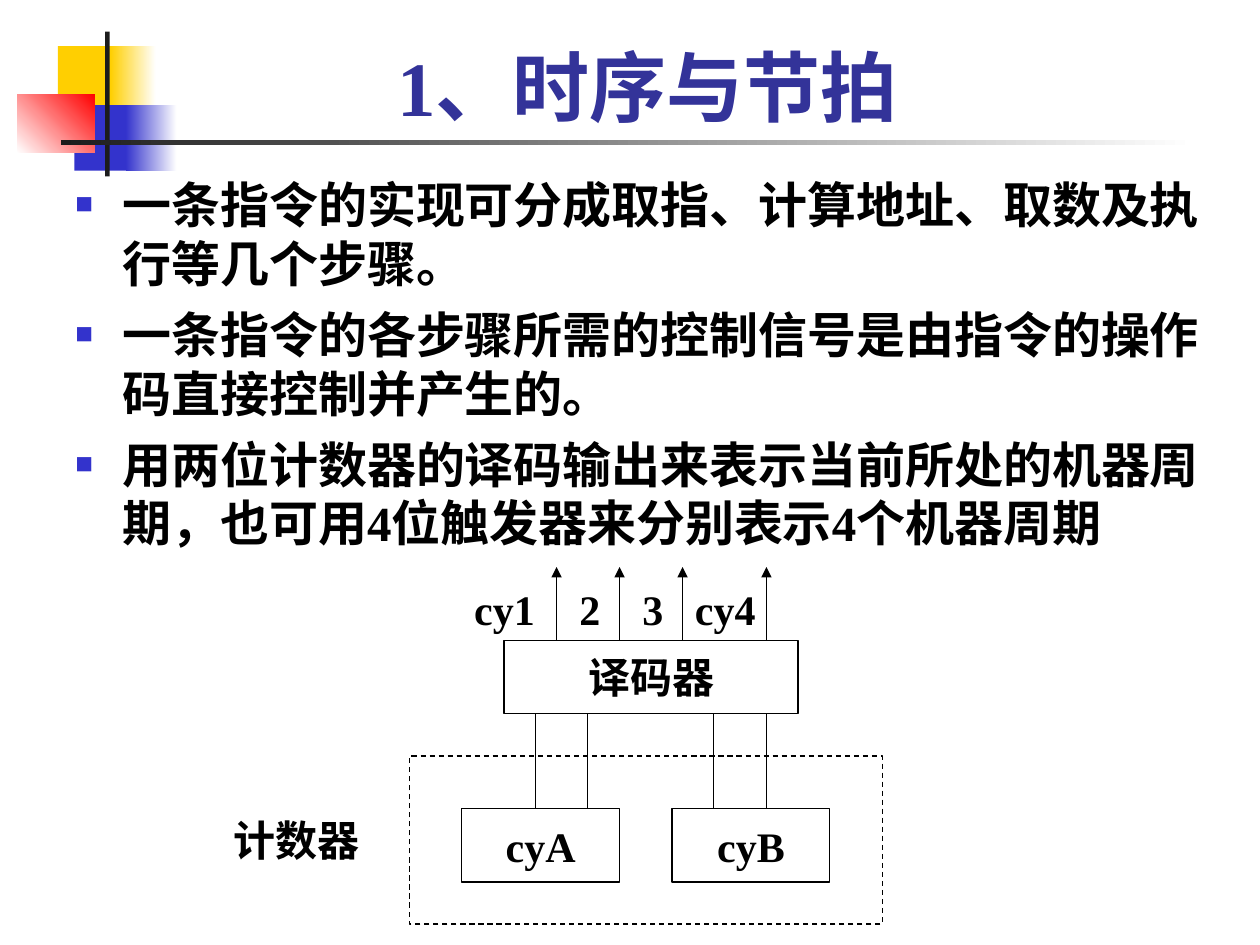
from lxml.etree import SubElement
from pptx import Presentation
from pptx.dml.color import RGBColor
from pptx.enum.dml import MSO_LINE
from pptx.enum.shapes import MSO_CONNECTOR, MSO_SHAPE
from pptx.enum.text import MSO_ANCHOR, PP_ALIGN
from pptx.oxml.ns import qn
from pptx.util import Cm, Pt

BLACK = RGBColor(0, 0, 0)
WHITE = RGBColor(255, 255, 255)
GOLD = RGBColor(0xFF, 0xCF, 0x01)
BLUE = RGBColor(0x33, 0x33, 0xCC)
NAVY = RGBColor(0x33, 0x33, 0x99)
RED = RGBColor(255, 0, 0)
DARK = RGBColor(0x1C, 0x1C, 0x1C)
SERIF = "Times New Roman"
SANS = "Roboto"


def write(para, text, size=24, font=SERIF, color=BLACK, align=PP_ALIGN.LEFT):
    para.alignment = align
    run = para.add_run()
    run.text = text
    run.font.size = Pt(size)
    run.font.name = font
    run.font.bold = True
    run.font.color.rgb = color


class Deck:
    def __init__(self, slide, width=0.75):
        self.slide = slide
        self.items = slide.shapes
        self.width = Pt(width)

    def rect(self, x, y, w, h):
        shape = self.items.add_shape(MSO_SHAPE.RECTANGLE, Cm(x), Cm(y), Cm(w), Cm(h))
        shape.shadow.inherit = False
        return shape

    def block(self, x, y, w, h, color, end=None, angle=0):
        shape = self.rect(x, y, w, h)
        shape.line.fill.background()
        if end is None:
            shape.fill.solid()
            shape.fill.fore_color.rgb = color
            return
        shape.fill.gradient()
        shape.fill.gradient_angle = angle
        for stop, tint in zip(shape.fill.gradient_stops, (color, end)):
            stop.color.rgb = tint

    def box(self, x, y, w, h, text="", font=SERIF, dash=None):
        shape = self.rect(x, y, w, h)
        shape.fill.solid()
        shape.fill.fore_color.rgb = WHITE
        shape.line.color.rgb = BLACK
        shape.line.width = self.width
        if dash:
            shape.line.dash_style = dash
        if text:
            frame = shape.text_frame
            frame.word_wrap = False
            frame.vertical_anchor = MSO_ANCHOR.MIDDLE
            write(frame.paragraphs[0], text, font=font, align=PP_ALIGN.CENTER)

    def line(self, x, start, end, arrow=False):
        wire = self.items.add_connector(
            MSO_CONNECTOR.STRAIGHT, Cm(x), Cm(start), Cm(x), Cm(end))
        wire.line.color.rgb = BLACK
        wire.line.width = self.width
        if arrow:
            SubElement(wire.line._get_or_add_ln(), qn("a:tailEnd"), type="triangle")
        SubElement(wire._element.spPr, qn("a:effectLst"))

    def frame(self, x, y, w, h):
        shape = self.items.add_textbox(Cm(x), Cm(y), Cm(w), Cm(h))
        shape.text_frame.word_wrap = True
        return shape.text_frame

    def label(self, x, y, w, text, font=SERIF):
        write(self.frame(x, y, w, 1.27).paragraphs[0], text, font=font)

    def title(self, text):
        shape = self.items.title
        shape.left, shape.top = Cm(1.27), Cm(0.43)
        shape.width, shape.height = Cm(23.57), Cm(2.36)
        shape.text_frame.vertical_anchor = MSO_ANCHOR.BOTTOM
        write(shape.text_frame.paragraphs[0], text, size=44, color=NAVY,
              align=PP_ALIGN.CENTER)

    def list(self, x, y, w, h, lines):
        frame = self.frame(x, y, w, h)
        for i, text in enumerate(lines):
            para = frame.add_paragraph() if i else frame.paragraphs[0]
            props = para._p.get_or_add_pPr()
            props.set("marL", str(Cm(0.95)))
            props.set("indent", str(Cm(-0.95)))
            tint = SubElement(props, qn("a:buClr"))
            SubElement(tint, qn("a:srgbClr"), val=str(BLUE))
            SubElement(props, qn("a:buSzPct"), val="60000")
            SubElement(props, qn("a:buFont"), typeface=SERIF)
            SubElement(props, qn("a:buChar"), char="■")
            if i:
                para.space_before = Pt(7)
            write(para, text, size=28)


def main():
    show = Presentation()
    show.slide_width, show.slide_height = Cm(25.4), Cm(19.05)
    deck = Deck(show.slides.add_slide(show.slide_layouts[5]))

    deck.block(1.17, 0.93, 1.22, 1.32, GOLD)
    deck.block(2.23, 0.93, 0.91, 1.32, GOLD, WHITE)
    deck.block(1.5, 2.12, 1.17, 1.32, BLUE)
    deck.block(2.54, 2.12, 1.02, 1.32, BLUE, WHITE)
    deck.block(0.35, 1.9, 1.56, 1.18, WHITE, RED, angle=45)
    deck.block(2.12, 0.64, 0.09, 2.92, DARK)
    deck.block(1.23, 2.83, 22.86, 0.09, DARK, WHITE)

    deck.title("1、时序与节拍")
    deck.list(1.27, 3.39, 23.7, 8.26, (
        "一条指令的实现可分成取指、计算地址、取数及执行等几个步骤。",
        "一条指令的各步骤所需的控制信号是由指令的操作码直接控制并产生的。",
        "用两位计数器的译码输出来表示当前所处的机器周期，也可用4位触发器来分别表示4个机器周期",
    ))

    deck.box(8.26, 15.24, 9.53, 3.39, dash=MSO_LINE.DASH)
    deck.box(10.16, 12.91, 5.93, 1.48, "译码器", font=SANS)
    for x in (11.22, 12.49, 13.76, 15.45):
        deck.line(x, 12.91, 11.43, arrow=True)
    for x, w, text in ((9.31, 2.12, "cy1"), (11.43, 1.48, "2"),
                       (12.7, 1.48, "3"), (13.76, 2.54, "cy4")):
        deck.label(x, 11.64, w, text)
    for x, text in ((9.31, "cyA"), (13.55, "cyB")):
        deck.box(x, 16.3, 3.18, 1.48, text)
    for x in (10.8, 11.85, 14.39, 15.45):
        deck.line(x, 16.3, 14.39)
    deck.label(4.45, 16.3, 3.6, "计数器", font=SANS)

    show.save("out.pptx")


if __name__ == "__main__":
    main()
